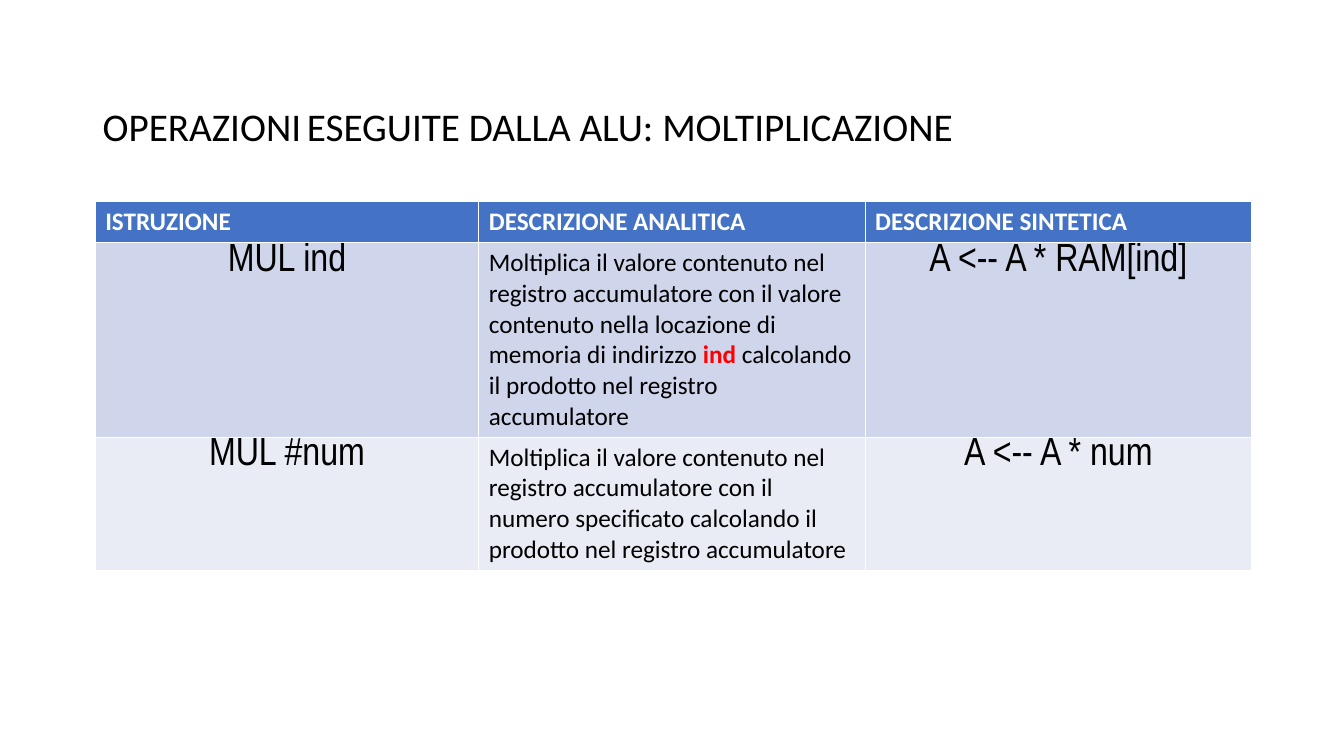
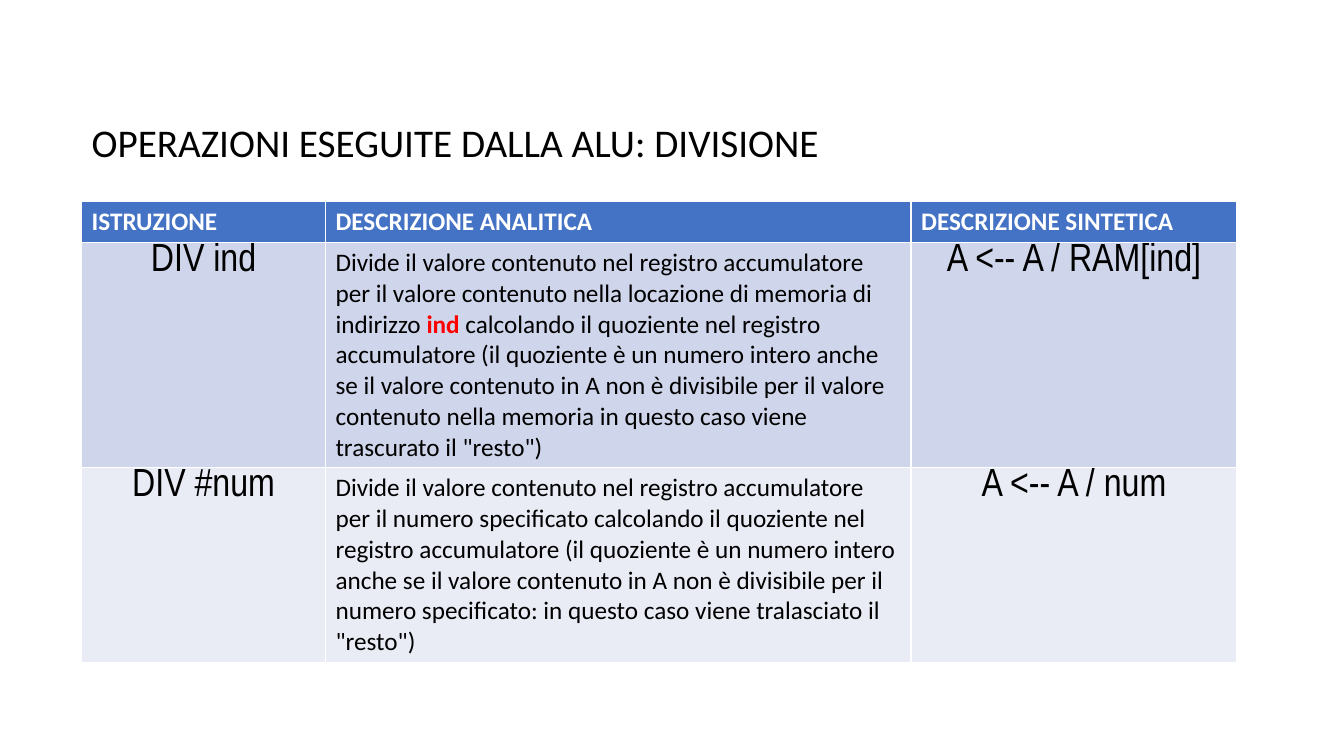
import pptx
import pptx.util
import pptx.dml.color
import pptx.enum.text

Pt = pptx.util.Pt
RGBColor = pptx.dml.color.RGBColor
PP_ALIGN = pptx.enum.text.PP_ALIGN

BLACK = RGBColor(0x00, 0x00, 0x00)
WHITE = RGBColor(0xFF, 0xFF, 0xFF)
RED = RGBColor(0xFF, 0x00, 0x00)
HEADER_BLUE = RGBColor(0x44, 0x72, 0xC4)
ROW_FILLS = (RGBColor(0xCF, 0xD5, 0xEA), RGBColor(0xE9, 0xEB, 0xF5))

BODY_FONT = "Calibri"
CODE_FONT = "Arial Narrow"
TITLE_SIZE = CODE_SIZE = 28
BODY_SIZE = 18
TABLE_TOP = 144
HEADER_HEIGHT = 29.2
TITLE_HEIGHT = 63
HEADINGS = ("ISTRUZIONE", "DESCRIZIONE ANALITICA", "DESCRIZIONE SINTETICA")


def write_spans(frame, texts, font, size, color=BLACK, bold=False, align=PP_ALIGN.LEFT):
    """Fill a text frame with one paragraph of equally formatted spans and return them."""
    para = frame.paragraphs[0]
    para.alignment = align
    for text in texts:
        span = para.add_run()
        span.text = text
        span.font.name = font
        span.font.size = Pt(size)
        span.font.bold = bold
        span.font.color.rgb = color
    return para.runs


def add_title(page, left, top, width, texts):
    """Place the title and return its spans."""
    box = page.shapes.title
    box.left, box.top, box.width, box.height = map(Pt, (left, top, width, TITLE_HEIGHT))
    frame = box.text_frame
    frame.word_wrap = False
    frame.auto_size = pptx.enum.text.MSO_AUTO_SIZE.NONE
    frame.vertical_anchor = pptx.enum.text.MSO_ANCHOR.TOP
    return write_spans(frame, texts, BODY_FONT, TITLE_SIZE)


def fill_cell(cell, color):
    """Give a table cell a solid fill."""
    cell.fill.solid()
    cell.fill.fore_color.rgb = color


def write_code(cell, text):
    """Write a centred instruction at the very top of a cell."""
    cell.margin_top = cell.margin_bottom = Pt(0)
    write_spans(cell.text_frame, [text], CODE_FONT, CODE_SIZE, align=PP_ALIGN.CENTER)


def write_description(cell, texts):
    """Write a description whose second span, if any, is highlighted."""
    spans = write_spans(cell.text_frame, texts, BODY_FONT, BODY_SIZE)
    for span in spans[1:2]:
        span.font.bold = True
        span.font.color.rgb = RED


def add_instruction_table(page, left, widths, heights, rows):
    """Add the table of instructions with its header row."""
    heights = (HEADER_HEIGHT, *heights)
    table = page.shapes.add_table(
        len(heights), len(widths), Pt(left), Pt(TABLE_TOP), Pt(sum(widths)), Pt(sum(heights))
    ).table
    for column, width in zip(table.columns, widths):
        column.width = Pt(width)
    for row, height in zip(table.rows, heights):
        row.height = Pt(height)
    for cell, heading in zip(table.rows[0].cells, HEADINGS):
        fill_cell(cell, HEADER_BLUE)
        write_spans(cell.text_frame, [heading], BODY_FONT, BODY_SIZE, WHITE, bold=True)
    for index, (instruction, description, summary) in enumerate(rows):
        cells = list(table.rows[index + 1].cells)
        for cell in cells:
            fill_cell(cell, ROW_FILLS[index % len(ROW_FILLS)])
        write_code(cells[0], instruction)
        write_description(cells[1], description)
        write_code(cells[2], summary)


def build_multiplication(page):
    """Build the slide on multiplication."""
    spans = add_title(
        page, 66.2, 69.8, 628.6,
        ["OPERAZIONI", " ", "ESEGUITE DALLA ALU: MOLTIPLICAZIONE"],
    )
    spans[1].font.size = Pt(BODY_SIZE)
    add_instruction_table(page, 68, (274, 276, 276), (139, 95), [
        ("MUL ind",
         ["Moltiplica il valore contenuto nel registro accumulatore con il valore "
          "contenuto nella locazione di memoria di indirizzo ",
          "ind",
          " calcolando il prodotto nel registro accumulatore"],
         "A <-- A * RAM[ind]"),
        ("MUL #num",
         ["Moltiplica il valore contenuto nel registro accumulatore con il numero "
          "specificato calcolando il prodotto nel registro accumulatore"],
         "A <-- A * num"),
    ])


def build_division(page):
    """Build the slide on division."""
    add_title(page, 58.3, 80.6, 539.3, ["OPERAZIONI ESEGUITE DALLA ALU: DIVISIONE"])
    add_instruction_table(page, 58.3, (174.2, 418.3, 232.6), (161, 139), [
        ("DIV ind",
         ["Divide il valore contenuto nel registro accumulatore per il valore "
          "contenuto nella locazione di memoria di indirizzo ",
          "ind",
          " calcolando il quoziente nel registro accumulatore (il quoziente è un "
          "numero intero anche se il valore contenuto in A non è divisibile per il "
          "valore contenuto nella memoria in questo caso viene trascurato il \"resto\")"],
         "A <-- A / RAM[ind]"),
        ("DIV #num",
         ["Divide il valore contenuto nel registro accumulatore per il numero "
          "specificato calcolando il quoziente nel registro accumulatore (il quoziente "
          "è un numero intero anche se il valore contenuto in A non è divisibile per il "
          "numero specificato: in questo caso viene tralasciato il \"resto\")"],
         "A <-- A / num"),
    ])


def main():
    """Build and save the deck."""
    deck = pptx.Presentation()
    deck.slide_width, deck.slide_height = Pt(960), Pt(540)
    title_only = deck.slide_layouts.get_by_name("Title Only")
    for build in (build_multiplication, build_division):
        build(deck.slides.add_slide(title_only))
    deck.save("out.pptx")


if __name__ == "__main__":
    main()
